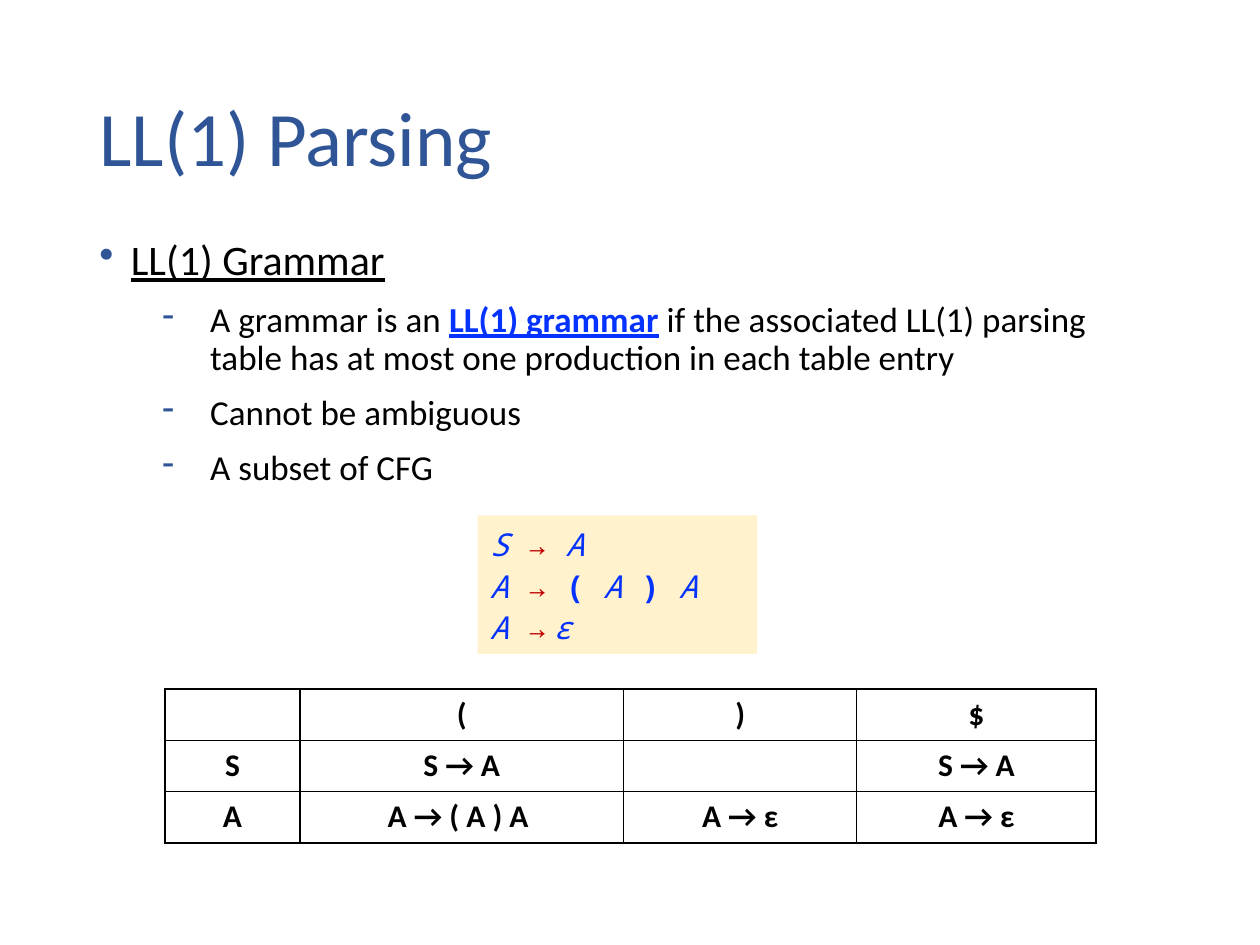
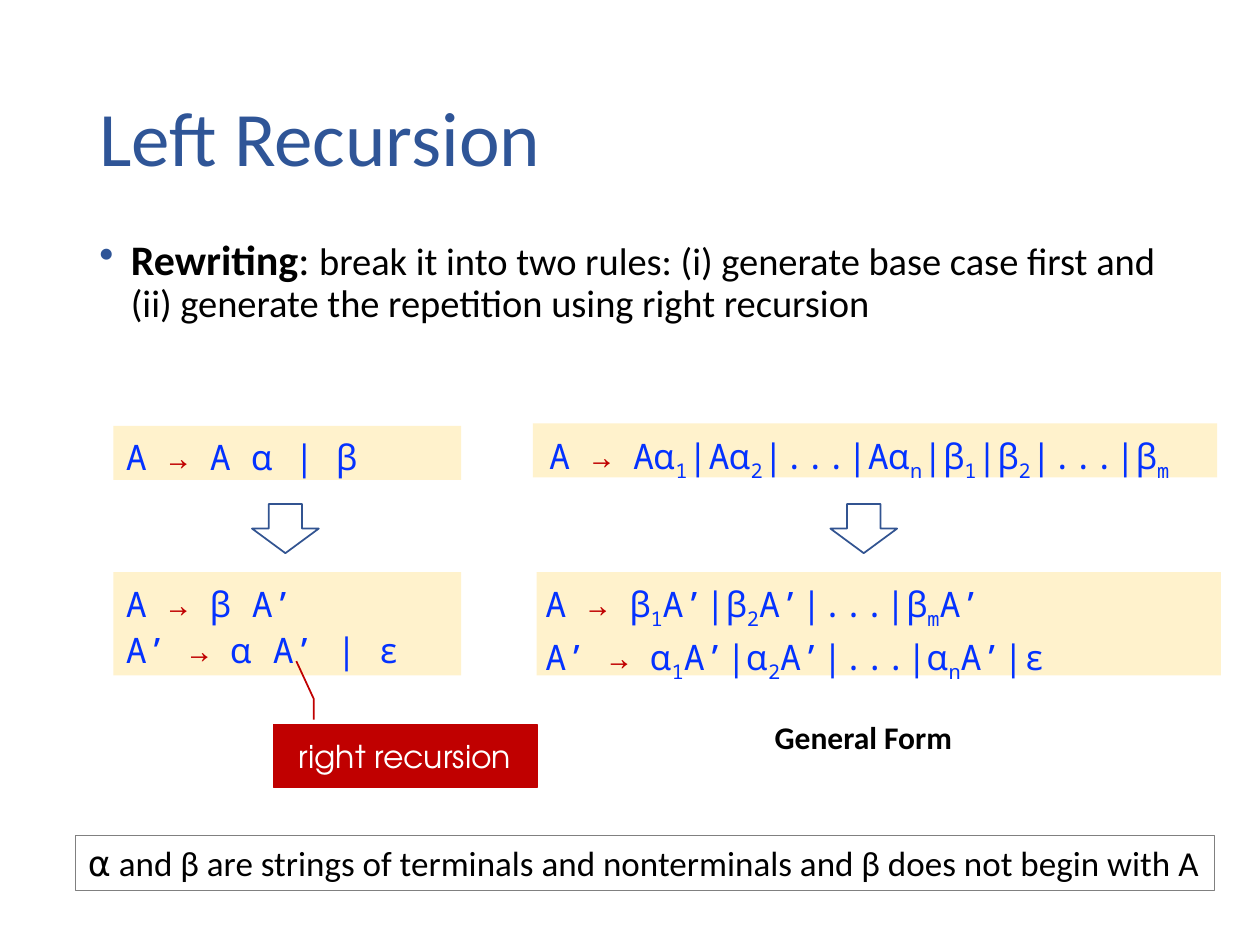
import dataclasses
import typing

import lxml.etree
import pptx
import pptx.dml.color
import pptx.enum.dml
import pptx.enum.shapes
import pptx.enum.text
import pptx.oxml.ns
import pptx.util

Inches = pptx.util.Inches
Pt = pptx.util.Pt
RGBColor = pptx.dml.color.RGBColor
MSO_SHAPE = pptx.enum.shapes.MSO_SHAPE
CENTER = pptx.enum.text.PP_ALIGN.CENTER
MIDDLE = pptx.enum.text.MSO_ANCHOR.MIDDLE

TITLE_BLUE = RGBColor(0x2F, 0x55, 0x97)
ARROW_BLUE = RGBColor(0x32, 0x54, 0x91)
SYMBOL_BLUE = RGBColor(0x04, 0x32, 0xFF)
RED = RGBColor(0xC0, 0x00, 0x00)
CREAM = RGBColor(0xFF, 0xF2, 0xCC)
GRAY = RGBColor(0x80, 0x80, 0x80)
BLACK = RGBColor(0x00, 0x00, 0x00)
WHITE = RGBColor(0xFF, 0xFF, 0xFF)

BODY_FONT = "Calibri"
GRAMMAR_FONT = "Noto Sans Mono"
CALLOUT_FONT = "TeX Gyre Adventor"


class Box(typing.NamedTuple):
    left: float
    top: float
    width: float
    height: float

    def lengths(self) -> list[int]:
        return [Inches(value) for value in self]


@dataclasses.dataclass
class Run:
    text: str
    color: RGBColor | None = None
    size: float | None = None
    bold: bool = False
    italic: bool = False
    underline: bool = False
    subscript: bool = False


@dataclasses.dataclass
class Paragraph:
    runs: list[Run]
    bullet: str = ""
    level: int = 0
    indent: float = 0
    hanging: float = 0
    tab_stop: float | None = None


@dataclasses.dataclass
class GrammarBlock:
    panel: Box
    text: Box
    rules: list[str]


def bullet_item(*runs: Run) -> Paragraph:
    return Paragraph(list(runs), "•", 0, 0.25, 0.25)


def dash_item(*runs: Run) -> Paragraph:
    return Paragraph(list(runs), "-", 1, 0.88, 0.38)


def add_xml(parent, tag: str, **attributes):
    element = lxml.etree.SubElement(parent, pptx.oxml.ns.qn(tag))
    for name, value in attributes.items():
        element.set(name, str(value))
    return element


def write_text(frame, paragraphs: list[Paragraph], *, size: float, font: str = BODY_FONT,
               color: RGBColor = BLACK, bold: bool = False, align=None, anchor=None,
               line_spacing: float | None = None, space_before: float = 0,
               wrap: bool = True) -> None:
    frame.word_wrap = wrap
    if anchor is not None:
        frame.vertical_anchor = anchor
    for index, content in enumerate(paragraphs):
        paragraph = frame.add_paragraph() if index else frame.paragraphs[0]
        paragraph.alignment = align or pptx.enum.text.PP_ALIGN.LEFT
        paragraph.level = content.level
        paragraph.space_before = Pt(space_before)
        if line_spacing:
            paragraph.line_spacing = line_spacing
        properties = paragraph._p.get_or_add_pPr()
        properties.set("marL", str(Inches(content.indent)))
        properties.set("indent", str(-Inches(content.hanging)))
        if content.bullet:
            add_xml(add_xml(properties, "a:buClr"), "a:srgbClr", val=TITLE_BLUE)
            add_xml(properties, "a:buChar", char=content.bullet)
        if content.tab_stop is not None:
            add_xml(add_xml(properties, "a:tabLst"), "a:tab",
                    pos=Inches(content.tab_stop), algn="l")
        for piece in content.runs:
            run = paragraph.add_run()
            run.text = piece.text
            run.font.name = font
            run.font.size = Pt(piece.size or size)
            run.font.color.rgb = piece.color or color
            run.font.bold = bold or piece.bold
            run.font.italic = piece.italic
            run.font.underline = piece.underline
            if piece.subscript:
                run._r.get_or_add_rPr().set("baseline", "-25000")


def plain(text: str) -> list[Paragraph]:
    return [Paragraph([Run(text)])]


def add_text(slide, box: Box, paragraphs: list[Paragraph], **text_format) -> None:
    write_text(slide.shapes.add_textbox(*box.lengths()).text_frame, paragraphs, **text_format)


def add_shape(slide, kind, box: Box, *, fill: RGBColor | None = None,
              line: RGBColor | None = None, line_width: float = 1):
    shape = slide.shapes.add_shape(kind, *box.lengths())
    shape.shadow.inherit = False
    if fill is None:
        shape.fill.background()
    else:
        shape.fill.solid()
        shape.fill.fore_color.rgb = fill
    if line is None:
        shape.line.fill.background()
    else:
        shape.line.color.rgb = line
        shape.line.width = Pt(line_width)
    return shape


def grammar_rule(rule: str, italic_letters: bool) -> Paragraph:
    """Style a rule by symbol: red arrows, bold parentheses, "_" before a subscript."""
    runs: list[Run] = []
    subscript = False
    for symbol in rule:
        if symbol == "_":
            subscript = True
            continue
        run = Run(symbol, RED if symbol == "→" else SYMBOL_BLUE, bold=symbol in "()",
                  italic=italic_letters and symbol.isalpha(), subscript=subscript)
        subscript = False
        same_style = runs and dataclasses.replace(run, text=runs[-1].text) == runs[-1]
        if runs and (symbol.isspace() or same_style):
            runs[-1].text += symbol
        else:
            runs.append(run)
    return Paragraph(runs, tab_stop=0.75 if "\t" in rule else None)


def add_grammar(slide, block: GrammarBlock, size: float, italic_letters: bool = False) -> None:
    add_shape(slide, MSO_SHAPE.RECTANGLE, block.panel, fill=CREAM)
    add_text(slide, block.text, [grammar_rule(rule, italic_letters) for rule in block.rules],
             size=size, font=GRAMMAR_FONT, line_spacing=1.1)


def set_borders(cell) -> None:
    properties = cell._tc.get_or_add_tcPr()
    for position, side in enumerate(("a:lnL", "a:lnR", "a:lnT", "a:lnB")):
        border = add_xml(properties, side, w=Pt(1))
        add_xml(add_xml(border, "a:solidFill"), "a:srgbClr", val=BLACK)
        properties.insert(position, border)


def add_parsing_table(slide, box: Box, widths: list[float], rows: list[list[str]]) -> None:
    table = slide.shapes.add_table(len(rows), len(widths), *box.lengths()).table
    table.first_row = table.horz_banding = False
    for column, width in zip(table.columns, widths):
        column.width = Inches(width)
    for row_index, row in enumerate(rows):
        for column_index, text in enumerate(row):
            cell = table.cell(row_index, column_index)
            cell.fill.background()
            set_borders(cell)
            if text:
                write_text(cell.text_frame, plain(text), size=18, bold=True, align=CENTER)


def add_content_slide(presentation, title: str, body_box: Box, body: list[Paragraph],
                      body_size: float):
    slide = presentation.slides.add_slide(presentation.slide_layouts[6])
    add_text(slide, Box(0.69, 0.4, 8.62, 1.45), plain(title), size=44, color=TITLE_BLUE,
             anchor=MIDDLE, line_spacing=0.9)
    add_text(slide, body_box, body, size=body_size, line_spacing=0.9, space_before=10)
    return slide


def build_parsing_slide(presentation) -> None:
    body = [
        bullet_item(Run("LL(1) Grammar", size=24, underline=True)),
        dash_item(
            Run("A grammar is an "),
            Run("LL(1) grammar", SYMBOL_BLUE, bold=True, underline=True),
            Run(" if the associated LL(1) parsing table has at most one production "
                "in each table entry"),
        ),
        dash_item(Run("Cannot be ambiguous")),
        dash_item(Run("A subset of CFG")),
    ]
    slide = add_content_slide(presentation, "LL(1) Parsing", Box(0.69, 1.85, 8.63, 2.48),
                              body, 20)
    grammar = GrammarBlock(Box(3.79, 4.09, 2.22, 1.1), Box(3.79, 4.09, 2.85, 1.1),
                           ["S → A", "A → ( A ) A", "A →\tε"])
    add_grammar(slide, grammar, 18, italic_letters=True)
    add_parsing_table(slide, Box(1.31, 5.47, 7.39, 1.22), [1.07, 2.57, 1.85, 1.9], [
        ["", "(", ")", "$"],
        ["S", "S → A", "", "S → A"],
        ["A", "A → ( A ) A ", "A → ε", "A → ε"],
    ])


def build_recursion_slide(presentation) -> None:
    body = [bullet_item(
        Run("Rewriting", size=24, bold=True),
        Run(": ", size=24),
        Run("break it into two rules: (i) generate base case first and "
            "(ii) generate the repetition using right recursion"),
    )]
    slide = add_content_slide(presentation, "Left Recursion", Box(0.69, 1.85, 8.85, 0.84),
                              body, 22)
    blocks = [
        GrammarBlock(Box(0.9, 3.38, 2.76, 0.43), Box(0.9, 3.37, 2.53, 0.45),
                     ["A → A ⍺ | β"]),
        GrammarBlock(Box(0.9, 4.54, 2.76, 0.82), Box(0.9, 4.54, 2.67, 0.82),
                     ["A → β A’", "A’ → ⍺ A’ | ε"]),
        GrammarBlock(Box(4.23, 3.36, 5.43, 0.43), Box(4.26, 3.36, 5.33, 0.46),
                     ["A → A⍺_1|A⍺_2|...|A⍺_n|β_1|β_2|...|β_m"]),
        GrammarBlock(Box(4.26, 4.54, 5.43, 0.82), Box(4.23, 4.54, 5.02, 0.84),
                     ["A → β_1A’|β_2A’|...|β_mA’", "A’ → ⍺_1A’|⍺_2A’|...|⍺_nA’|ε"]),
    ]
    for block in blocks:
        add_grammar(slide, block, 20)
    for arrow_left in (2.07, 6.66):
        arrow = add_shape(slide, MSO_SHAPE.RIGHT_ARROW, Box(arrow_left, 3.93, 0.39, 0.53),
                          line=ARROW_BLUE)
        arrow.rotation = 90

    callout = add_shape(slide, MSO_SHAPE.LINE_CALLOUT_2, Box(2.17, 5.75, 2.09, 0.5),
                        fill=RED, line=RED)
    for index, value in enumerate((-0.077, 0.153, -0.408, 0.153, -1.006, 0.087)):
        callout.adjustments[index] = value
    write_text(callout.text_frame, plain("right recursion"), size=18, font=CALLOUT_FONT,
               color=WHITE, align=CENTER, anchor=MIDDLE)

    add_text(slide, Box(6.05, 5.65, 1.62, 0.4), plain("General Form"), size=18, bold=True,
             wrap=False)
    note = add_shape(slide, MSO_SHAPE.RECTANGLE, Box(0.6, 6.63, 9.04, 0.44), line=GRAY,
                     line_width=0.75)
    write_text(note.text_frame,
               plain("⍺ and β are strings of terminals and nonterminals "
                     "and β does not begin with A"),
               size=20, anchor=pptx.enum.text.MSO_ANCHOR.TOP)


def main() -> None:
    presentation = pptx.Presentation()
    presentation.slide_width = Inches(10)
    presentation.slide_height = Inches(7.5)
    build_parsing_slide(presentation)
    build_recursion_slide(presentation)
    presentation.save("out.pptx")


if __name__ == "__main__":
    main()
